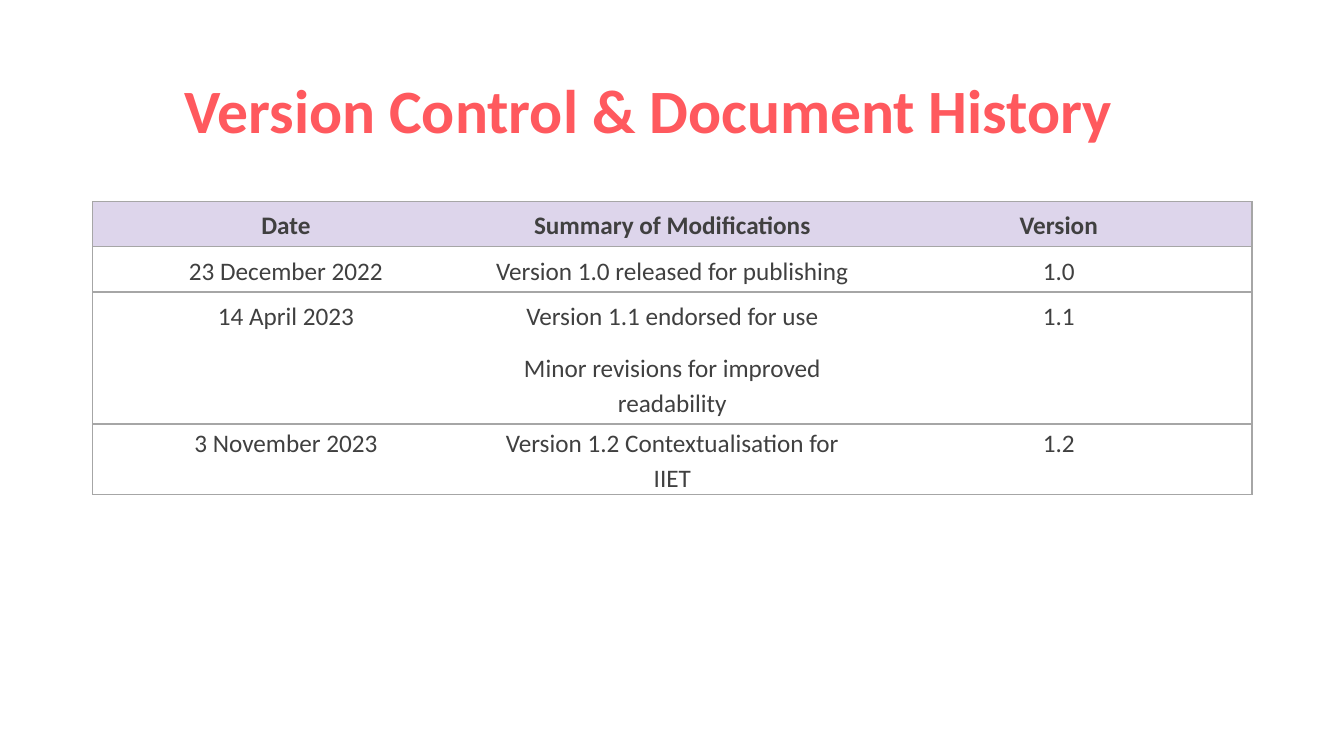
from lxml import etree
from pptx import Presentation
from pptx.dml.color import RGBColor
from pptx.enum.text import MSO_ANCHOR, MSO_AUTO_SIZE, PP_ALIGN
from pptx.oxml.ns import qn
from pptx.util import Inches, Pt

CENTER = PP_ALIGN.CENTER
MIDDLE = MSO_ANCHOR.MIDDLE
TOP = MSO_ANCHOR.TOP
NO_AUTOFIT = MSO_AUTO_SIZE.NONE

CORAL = RGBColor(0xFF, 0x59, 0x5E)
CHARCOAL = RGBColor(0x40, 0x40, 0x40)
LAVENDER = RGBColor(0xDD, 0xD5, 0xEB)
BORDER_GREY = RGBColor(0xA6, 0xA6, 0xA6)

GRID_COLUMNS, GRID_ROWS = 100, 75
LEFT = 6.9
TITLE_ONLY = 5

HISTORY = [
    ["Date", "Summary of Modifications", "Version"],
    ["23 December 2022", "Version 1.0 released for publishing", "1.0"],
    ["14 April 2023", "Version 1.1 endorsed for use\nMinor revisions for improved readability", "1.1"],
    ["3 November 2023", "Version 1.2 Contextualisation for IIET", "1.2"],
]
ROW_HEIGHTS = [4.4, 4.4, 13, 6.7]


def write(frame, text, size=18, color=CHARCOAL, bold=False, spacing=1.14, before=6, after=6):
    for index, line in enumerate(text.split("\n")):
        para = frame.add_paragraph() if index else frame.paragraphs[0]
        para.alignment = CENTER
        para.line_spacing = spacing
        para.space_before = Pt(before if index else 0)
        para.space_after = Pt(after)
        span = para.add_run()
        span.text = line
        span.font.name = "Calibri"
        span.font.size = Pt(size)
        span.font.bold = bold
        span.font.color.rgb = color


class HistoryPage:
    def __init__(self, deck):
        self.page = deck.slides.add_slide(deck.slide_layouts[TITLE_ONLY])
        self.column = deck.slide_width / GRID_COLUMNS
        self.row = deck.slide_height / GRID_ROWS

    def place(self, left, top, width, height):
        return (round(left * self.column), round(top * self.row),
                round(width * self.column), round(height * self.row))

    def title(self, text, *area):
        box = self.page.shapes.title
        box.left, box.top, box.width, box.height = self.place(*area)
        frame = box.text_frame
        frame.auto_size = NO_AUTOFIT
        frame.vertical_anchor = MIDDLE
        write(frame, text, size=44, color=CORAL, bold=True, spacing=0.9, after=0)

    def border(self, cell, side, visible):
        properties = cell._tc.get_or_add_tcPr()
        line = etree.SubElement(properties, qn(f"a:ln{side}"), w=str(Pt(1)))
        if visible:
            fill = etree.SubElement(line, qn("a:solidFill"))
            etree.SubElement(fill, qn("a:srgbClr"), val=str(BORDER_GREY))
        else:
            etree.SubElement(line, qn("a:noFill"))

    def cell(self, cell, text, header, last_row, first_column, last_column):
        cell.vertical_anchor = TOP
        if last_row:
            cell.margin_left = cell.margin_right = Inches(0.07)
            cell.margin_top = cell.margin_bottom = 0
        sides = {"L": first_column, "R": last_column, "T": True, "B": True}
        for side, visible in sides.items():
            self.border(cell, side, visible)
        if header:
            cell.fill.solid()
            cell.fill.fore_color.rgb = LAVENDER
        else:
            cell.fill.background()
        write(cell.text_frame, text, bold=header, spacing=1.15 if last_row else 1.14)

    def table(self, rows, heights, left, top, width):
        area = self.place(left, top, width, sum(heights))
        table = self.page.shapes.add_table(len(rows), len(rows[0]), *area).table
        table.horz_banding = False
        for row_index, (texts, height) in enumerate(zip(rows, heights)):
            table.rows[row_index].height = round(height * self.row)
            for column_index, text in enumerate(texts):
                self.cell(
                    table.cell(row_index, column_index), text,
                    header=row_index == 0,
                    last_row=row_index == len(rows) - 1,
                    first_column=column_index == 0,
                    last_column=column_index == len(texts) - 1,
                )


def main():
    deck = Presentation()
    deck.slide_width, deck.slide_height = Inches(13.33), Inches(7.5)
    history = HistoryPage(deck)
    history.title("Version Control & Document History", LEFT, 4, 82.75, 14.5)
    history.table(HISTORY, ROW_HEIGHTS, LEFT, 20, 86.25)
    deck.save("out.pptx")


if __name__ == "__main__":
    main()
